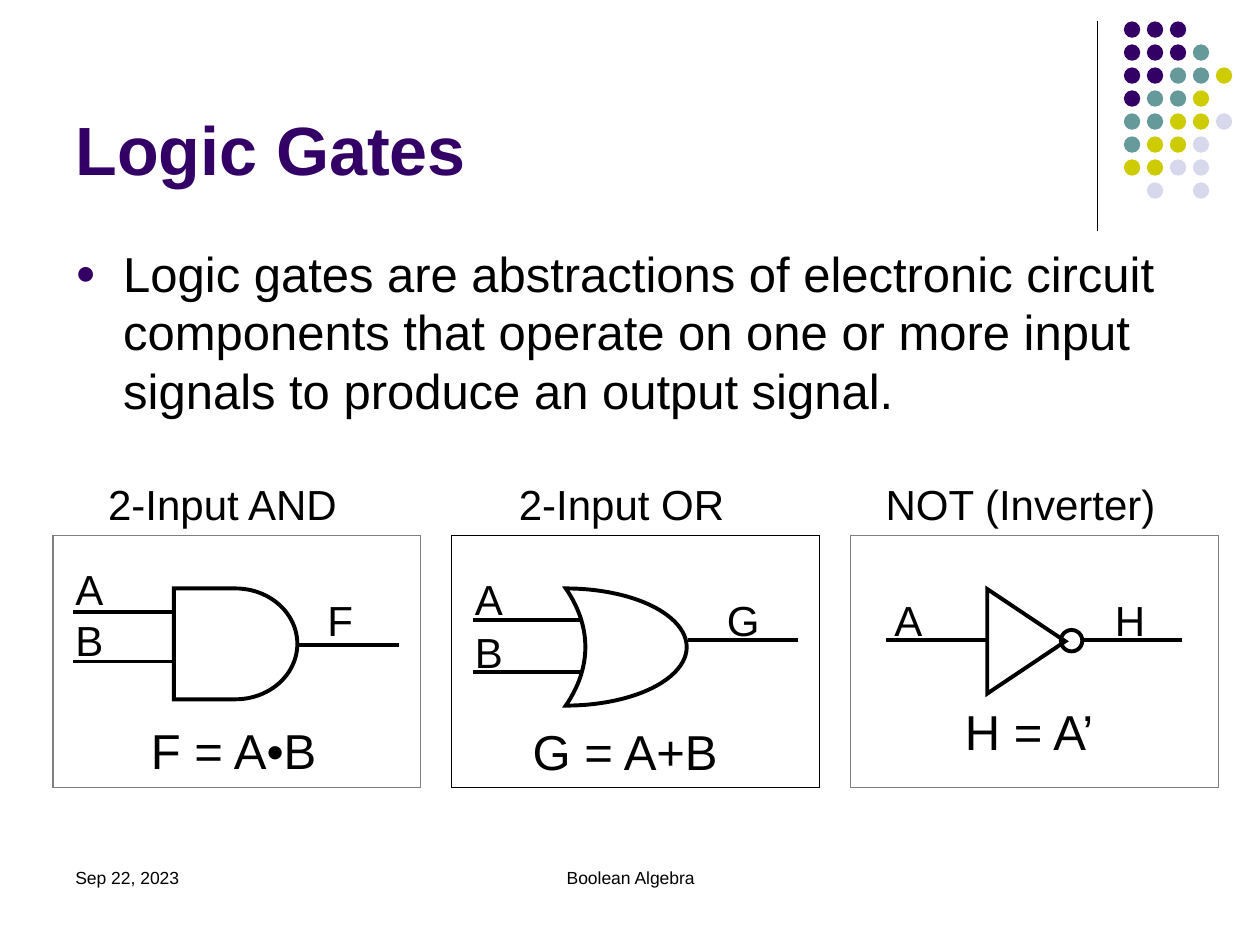
"""Build the Logic Gates slide."""
import pptx
import pptx.util
import pptx.dml.color
import pptx.enum.shapes
import pptx.enum.text
import pptx.oxml.ns
from lxml import etree

Inches, Pt = pptx.util.Inches, pptx.util.Pt
RGB = pptx.dml.color.RGBColor
KIND = pptx.enum.shapes.MSO_SHAPE
ALIGN = pptx.enum.text.PP_ALIGN
ANCHOR = pptx.enum.text.MSO_ANCHOR
qn = pptx.oxml.ns.qn

BLACK = RGB(0, 0, 0)
GRAY = RGB(0x80, 0x80, 0x80)
PURPLE = RGB(0x33, 0x00, 0x66)
TEAL = RGB(0x66, 0x99, 0x99)
LIME = RGB(0xCC, 0xCC, 0x00)
PALE = RGB(0xD8, 0xD8, 0xEC)

TITLE = "Logic Gates"
BODY = ("Logic gates are abstractions of electronic circuit components "
        "that operate on one or more input signals to produce an output signal.")
DOTS = ["PPP", "PPPT", "PPTTL", "PTTL", "TTLLA", "TLLA", "LLAA", " A A"]
HUES = {"P": PURPLE, "T": TEAL, "L": LIME, "A": PALE}

GATES = [
    {"edge": GRAY,
     "head": ("2-Input AND", 0.76, 3.75, 2.2),
     "rule": ("F = A•B", 1.1, 5.67, 1.7),
     "pins": [("A", 0.5, 4.42), ("B", 0.5, 4.83), ("F", 2.5, 4.67)],
     "parts": [(KIND.FLOWCHART_DELAY, 1.38, 4.67, 0.98, 0.88, 0)],
     "wires": [(0.58, 1.38, 4.86), (0.58, 1.38, 5.25), (2.37, 3.17, 5.12)]},
    {"edge": BLACK,
     "head": ("2-Input OR", 4.02, 3.75, 2),
     "rule": ("G = A+B", 4.13, 5.68, 1.9),
     "pins": [("A", 3.67, 4.5), ("B", 3.67, 4.92), ("G", 5.67, 4.67)],
     "parts": [(KIND.MOON, 4.49, 4.67, 0.96, 0.93, 180)],
     "wires": [(3.75, 4.62, 4.92), (3.75, 4.62, 5.33), (5.46, 6.33, 5.08)]},
    {"edge": GRAY,
     "head": ("NOT (Inverter)", 6.93, 3.75, 2.6),
     "rule": ("H = A’", 7.56, 5.52, 1.4),
     "pins": [("A", 7, 4.67), ("H", 8.75, 4.67)],
     "parts": [(KIND.ISOSCELES_TRIANGLE, 7.73, 4.78, 0.83, 0.62, 90),
               (KIND.OVAL, 8.42, 5, 0.17, 0.17, 0)],
     "wires": [(7.03, 7.83, 5.08), (8.58, 9.38, 5.08)]},
]


def add_shape(slide, kind, box, fill=None, line=None, width=0.75):
    shape = slide.shapes.add_shape(kind, *map(Inches, box))
    shape.shadow.inherit = False
    if fill is None:
        shape.fill.background()
    else:
        shape.fill.solid()
        shape.fill.fore_color.rgb = fill
    if line is None:
        shape.line.fill.background()
    else:
        shape.line.color.rgb = line
        shape.line.width = Pt(width)
        edge = shape._element.spPr.find(qn("a:ln"))
        etree.SubElement(edge, qn("a:miter"), lim="800000")
    return shape


def add_line(slide, ends, width):
    kind = pptx.enum.shapes.MSO_CONNECTOR.STRAIGHT
    line = slide.shapes.add_connector(kind, *map(Inches, ends))
    line.line.color.rgb = BLACK
    line.line.width = Pt(width)
    etree.SubElement(line._element.spPr, qn("a:effectLst"))


def add_text(slide, text, box, size, color=BLACK, bold=False):
    frame = slide.shapes.add_textbox(*map(Inches, box)).text_frame
    frame.word_wrap = True
    run = frame.paragraphs[0].add_run()
    run.text = text
    font = run.font
    font.name, font.size, font.bold = "Arial", Pt(size), bold
    font.color.rgb = color
    return frame


def add_bullet(para):
    props = para._p.get_or_add_pPr()
    props.set("marL", str(Inches(0.38)))
    props.set("indent", str(-Inches(0.38)))
    tint = etree.SubElement(props, qn("a:buClr"))
    etree.SubElement(tint, qn("a:srgbClr"), val=str(PURPLE))
    etree.SubElement(props, qn("a:buSzPct"), val="70000")
    etree.SubElement(props, qn("a:buFont"), typeface="Arial")
    etree.SubElement(props, qn("a:buChar"), char="●")


def add_dots(slide):
    add_line(slide, (8.71, 0.17, 8.71, 1.83), 0.75)
    step = 0.73 / 4
    for row, marks in enumerate(DOTS):
        for col, mark in enumerate(marks):
            if mark in HUES:
                box = (8.92 + col * step, 0.17 + row * step, 0.13, 0.13)
                add_shape(slide, KIND.OVAL, box, fill=HUES[mark])


def add_gate(slide, gate, left):
    add_shape(slide, KIND.RECTANGLE, (left, 4.25, 2.92, 2), line=gate["edge"])
    for kind, *box, turn in gate["parts"]:
        part = add_shape(slide, kind, box, line=BLACK, width=2.25)
        part.rotation = turn
        if kind == KIND.MOON:
            part.adjustments[0] = 0.838
    for start, end, y in gate["wires"]:
        add_line(slide, (start, y, end, y), 2.25)
    for name, x, y in gate["pins"]:
        add_text(slide, name, (x, y, 0.5, 0.5), 24)
    for key, size, high in (("head", 24, 0.5), ("rule", 28, 0.56)):
        text, *spot = gate[key]
        add_text(slide, text, (*spot, high), size)


def main():
    deck = pptx.Presentation()
    deck.slide_width, deck.slide_height = Inches(10), Inches(7.5)
    slide = deck.slides.add_slide(deck.slide_layouts[6])
    add_dots(slide)
    title = add_text(slide, TITLE, (0.5, 0.13, 8.25, 1.42), 39, PURPLE, True)
    title.vertical_anchor = ANCHOR.BOTTOM
    body = add_text(slide, BODY, (0.5, 1.88, 9, 1.6), 28)
    add_bullet(body.paragraphs[0])
    add_text(slide, "Sep 22, 2023", (0.5, 6.83, 2.33, 0.5), 10)
    foot = add_text(slide, "Boolean Algebra", (3.42, 6.83, 3.17, 0.5), 10)
    foot.paragraphs[0].alignment = ALIGN.CENTER
    for spot, gate in enumerate(GATES):
        add_gate(slide, gate, 0.42 + spot * 3.165)
    deck.save("out.pptx")


if __name__ == "__main__":
    main()
